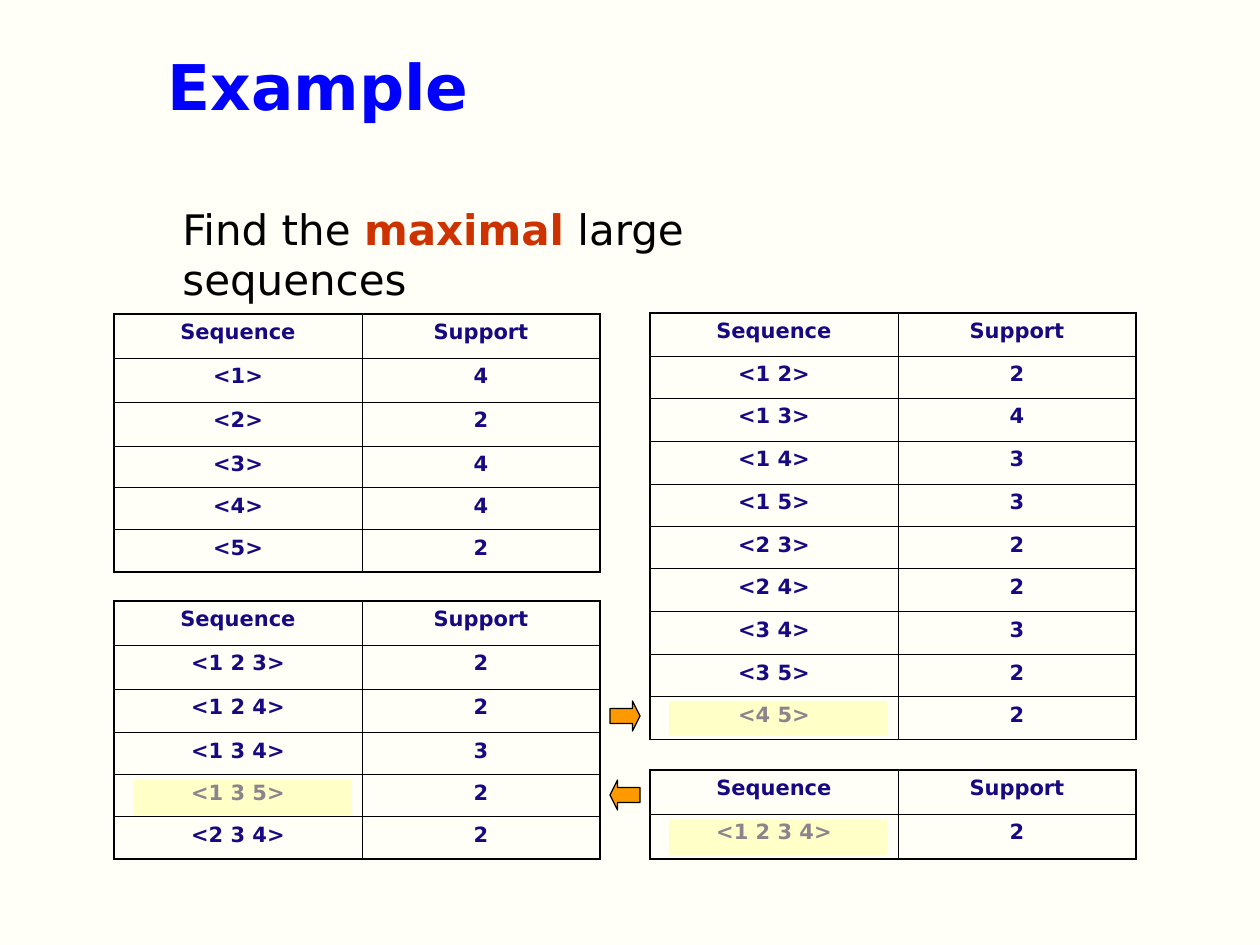
from dataclasses import dataclass

from lxml import etree
from pptx import Presentation
from pptx.dml.color import RGBColor
from pptx.enum.shapes import MSO_SHAPE
from pptx.enum.text import MSO_ANCHOR, PP_ALIGN
from pptx.oxml.ns import qn
from pptx.util import Emu, Pt

RECTANGLE = MSO_SHAPE.RECTANGLE
LEFT_ARROW = MSO_SHAPE.LEFT_ARROW
RIGHT_ARROW = MSO_SHAPE.RIGHT_ARROW
CENTER, LEFT = PP_ALIGN.CENTER, PP_ALIGN.LEFT
TOP, MIDDLE = MSO_ANCHOR.TOP, MSO_ANCHOR.MIDDLE

PX_PER_INCH = 126
FONT = "DejaVu Sans"
BLACK, NAVY = "000000", "170981"
OUTER, INNER = 1.08, 0.45  # table line widths in points
COLUMN_WIDTHS = (248, 238)
HEADER = ("Sequence", "Support")


@dataclass(frozen=True)
class SupportTable:
    left: int
    top: int
    row_heights: tuple[int, ...]
    counts: tuple[tuple[str, int], ...]


@dataclass(frozen=True)
class Mark:
    left: int
    top: int


SIX_ROWS = (44, 44, 44, 42, 42, 42)
SUPPORT_TABLES = (
    SupportTable(114, 314, SIX_ROWS, (
        ("<1>", 4), ("<2>", 2), ("<3>", 4), ("<4>", 4), ("<5>", 2))),
    SupportTable(650, 313, (43, 42, 43, 43, 43, 42, 43, 43, 42, 43), (
        ("<1 2>", 2), ("<1 3>", 4), ("<1 4>", 3), ("<1 5>", 3), ("<2 3>", 2),
        ("<2 4>", 2), ("<3 4>", 3), ("<3 5>", 2), ("<4 5>", 2))),
    SupportTable(114, 601, SIX_ROWS, (
        ("<1 2 3>", 2), ("<1 2 4>", 2), ("<1 3 4>", 3), ("<1 3 5>", 2),
        ("<2 3 4>", 2))),
    SupportTable(650, 770, (44, 45), (("<1 2 3 4>", 2),)),
)
MAXIMAL_MARKS = (Mark(669, 820), Mark(134, 780), Mark(669, 701))
ARROWS = ((LEFT_ARROW, Mark(610, 780)), (RIGHT_ARROW, Mark(610, 701)))


def px(length: int) -> Emu:
    return Emu(round(length * 914400 / PX_PER_INCH))


def color(value: str) -> RGBColor:
    return RGBColor.from_string(value)


def add_run(paragraph, text: str, size: int, hex_color: str, bold: bool = False) -> None:
    run = paragraph.add_run()
    run.text = text
    run.font.name = FONT
    run.font.size = Pt(size)
    run.font.bold = bold
    run.font.color.rgb = color(hex_color)


def set_border(cell, side: str, width: float) -> None:
    line = etree.SubElement(cell._tc.get_or_add_tcPr(), qn(f"a:ln{side}"), w=str(Pt(width)))
    fill = etree.SubElement(line, qn("a:solidFill"))
    etree.SubElement(fill, qn("a:srgbClr"), val=BLACK)


def draw_table(slide, data: SupportTable) -> None:
    rows = (HEADER, *data.counts)
    table = slide.shapes.add_table(
        len(rows), len(HEADER), px(data.left), px(data.top),
        px(sum(COLUMN_WIDTHS)), px(sum(data.row_heights))).table
    table.first_row = table.horz_banding = False
    for column, width in zip(table.columns, COLUMN_WIDTHS):
        column.width = px(width)
    for row, height in zip(table.rows, data.row_heights):
        row.height = px(height)

    last_row, last_column = len(rows) - 1, len(HEADER) - 1
    for r, values in enumerate(rows):
        for c, value in enumerate(values):
            cell = table.cell(r, c)
            edges = {"L": c == 0, "R": c == last_column, "T": r == 0, "B": r == last_row}
            for side, is_outer in edges.items():
                set_border(cell, side, OUTER if is_outer else INNER)
            cell.fill.background()
            paragraph = cell.text_frame.paragraphs[0]
            paragraph.alignment = CENTER
            paragraph.space_before = Pt(3)
            add_run(paragraph, str(value), 12, NAVY, bold=True)


def draw_shape(slide, kind, mark: Mark, width: int, height: int, fill: str):
    shape = slide.shapes.add_shape(kind, px(mark.left), px(mark.top), px(width), px(height))
    shape.shadow.inherit = False
    shape.fill.solid()
    shape.fill.fore_color.rgb = color(fill)
    return shape


def draw_highlight(slide, mark: Mark) -> None:
    highlight = draw_shape(slide, RECTANGLE, mark, 218, 35, "FFFF99")
    highlight.line.fill.background()
    fill_color = highlight._element.spPr.find(qn("a:solidFill"))[0]
    etree.SubElement(fill_color, qn("a:alpha"), val="50000")


def draw_arrow(slide, kind, mark: Mark) -> None:
    arrow = draw_shape(slide, kind, mark, 30, 30, "FF9900")
    arrow.adjustments[0], arrow.adjustments[1] = 0.5, 0.25
    arrow.line.color.rgb = color(BLACK)
    arrow.line.width = Pt(0.75)


def draw_title(slide) -> None:
    title = slide.shapes.title
    title.left, title.top, title.width, title.height = px(155), px(6), px(1105), px(158)
    title.text_frame.vertical_anchor = MIDDLE
    paragraph = title.text_frame.paragraphs[0]
    paragraph.alignment = LEFT
    add_run(paragraph, "Example", 36, "0000FF", bold=True)


def draw_task(slide) -> None:
    task = slide.shapes.add_textbox(px(170), px(197), px(712), px(63)).text_frame
    task.word_wrap = True
    task.vertical_anchor = TOP
    paragraph = task.paragraphs[0]
    add_run(paragraph, "Find the ", 24, BLACK)
    add_run(paragraph, "maximal", 24, "CC3300", bold=True)
    add_run(paragraph, " large sequences", 24, BLACK)


def main() -> None:
    presentation = Presentation()
    presentation.slide_width, presentation.slide_height = px(1260), px(945)
    slide = presentation.slides.add_slide(presentation.slide_layouts[5])
    slide.background.fill.solid()
    slide.background.fill.fore_color.rgb = color("FFFFF7")

    # Heading and task
    draw_title(slide)
    draw_task(slide)

    # Sequences with their support
    for support_table in SUPPORT_TABLES:
        draw_table(slide, support_table)

    # Maximal sequences and the steps between tables
    for mark in MAXIMAL_MARKS:
        draw_highlight(slide, mark)
    for kind, mark in ARROWS:
        draw_arrow(slide, kind, mark)

    presentation.save("out.pptx")


if __name__ == "__main__":
    main()
